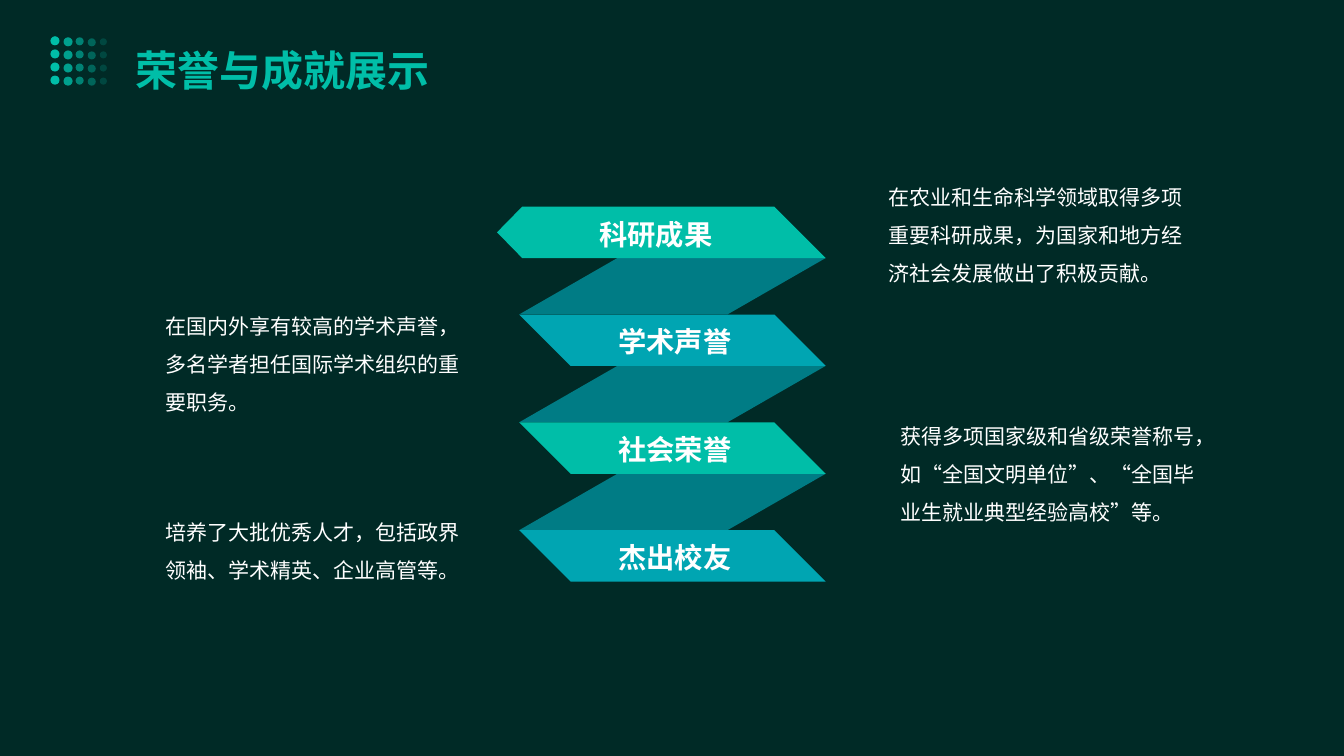
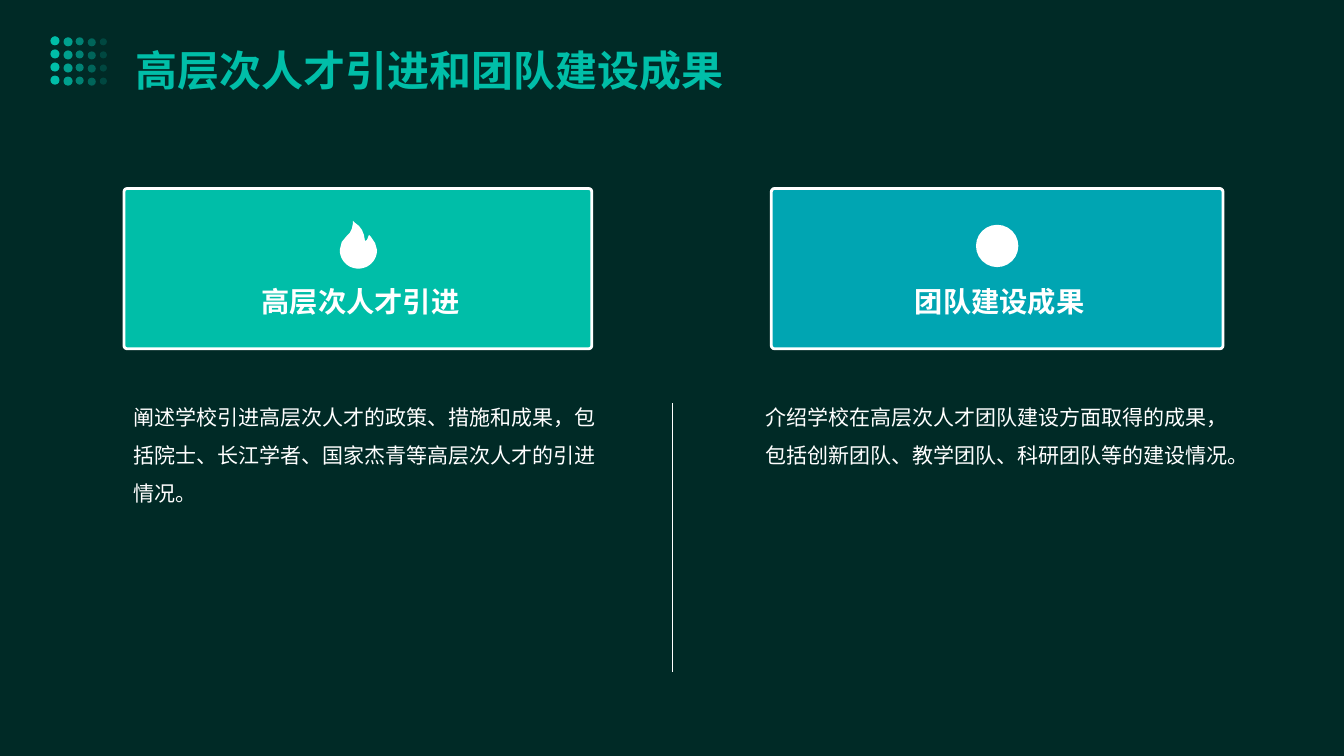
from dataclasses import dataclass
from math import cos, pi, sin

from lxml import etree
from pptx import Presentation
from pptx.dml.color import RGBColor
from pptx.enum.shapes import MSO_CONNECTOR as Connector, MSO_SHAPE as Shape
from pptx.enum.text import MSO_ANCHOR as Anchor, MSO_AUTO_SIZE as AutoSize, PP_ALIGN as Align
from pptx.oxml.ns import qn
from pptx.util import Inches, Pt


@dataclass(frozen=True)
class Theme:
    font: str = "Noto Sans CJK SC"
    background: RGBColor = RGBColor(0x00, 0x2A, 0x26)
    green: RGBColor = RGBColor(0x00, 0xBE, 0xA8)
    blue: RGBColor = RGBColor(0x00, 0xA5, 0xB2)
    fold: RGBColor = RGBColor(0x00, 0x7C, 0x85)
    white: RGBColor = RGBColor(0xFF, 0xFF, 0xFF)
    title_size: float = 30
    label_size: float = 20.2
    body_size: float = 15


THEME = Theme()

# Content
HONORS_TITLE = "荣誉与成就展示"
HONORS = [  # label, description, description left and top
    ("科研成果", "在农业和生命科学领域取得多项重要科研成果，为国家和地方经济社会发展做出了积极贡献。", 8.71, 1.61),
    ("学术声誉", "在国内外享有较高的学术声誉，多名学者担任国际学术组织的重要职务。", 1.54, 2.89),
    ("社会荣誉", "获得多项国家级和省级荣誉称号，如“全国文明单位”、“全国毕业生就业典型经验高校”等。", 8.83, 3.98),
    ("杰出校友", "培养了大批优秀人才，包括政界领袖、学术精英、企业高管等。", 1.54, 4.93),
]
TALENT_TITLE = "高层次人才引进和团队建设成果"
TALENT = [  # label, description, card left and width, description left, colour
    ("高层次人才引进", "阐述学校引进高层次人才的政策、措施和成果，包括院士、长江学者、国家杰青等高层次人才的引进情况。",
     1.23, 4.64, 1.23, THEME.green),
    ("团队建设成果", "介绍学校在高层次人才团队建设方面取得的成果，包括创新团队、教学团队、科研团队等的建设情况。",
     7.65, 4.48, 7.49, THEME.blue),
]

# Geometry in inches
DOT_COLUMNS = [(0.5, 0.36, 0.09), (0.63, 0.37, 0.09), (0.75, 0.37, 0.08),
               (0.87, 0.38, 0.08), (0.99, 0.38, 0.07)]  # left, top, size
DOT_ROWS, DOT_PITCH = 4, 0.13
RIBBON_LEFT, RIBBON_TOP, RIBBON_WIDTH = 5.15, 2.05, 3.04
BAND_HEIGHT, FOLD_HEIGHT = 0.51, 0.56
FLAME_TOP = [(3.37, 2.48), (3.39, 2.4), (3.44, 2.34), (3.47, 2.31), (3.49, 2.27),
             (3.5, 2.22), (3.5, 2.19), (3.52, 2.21), (3.56, 2.24), (3.59, 2.28),
             (3.61, 2.33), (3.62, 2.39), (3.64, 2.38), (3.66, 2.33), (3.68, 2.35), (3.72, 2.41)]


def paint(shape, color, alpha=100):
    shape.shadow.inherit = False
    shape.fill.solid()
    shape.fill.fore_color.rgb = color
    shape.line.fill.background()
    if alpha < 100:
        tint = shape.fill._xPr.find(qn("a:solidFill"))[0]
        etree.SubElement(tint, qn("a:alpha"), val=str(alpha * 1000))


def add_preset(shapes, kind, place, color, alpha=100):
    shape = shapes.add_shape(kind, *map(Inches, place))
    paint(shape, color, alpha)
    return shape


def add_outline(page, points, color):
    corners = [(Inches(x), Inches(y)) for x, y in points]
    builder = page.shapes.build_freeform(*corners[0])
    builder.add_line_segments(corners[1:], close=True)
    paint(builder.convert_to_shape(), color)


def write(box, text, size, color, bold=False, align=Align.LEFT, spacing=1.0, insets=(0.1, 0.1, 0.05, 0.1)):
    frame = box.text_frame
    frame.word_wrap = True
    frame.auto_size = AutoSize.NONE
    frame.vertical_anchor = Anchor.TOP
    (frame.margin_left, frame.margin_top,
     frame.margin_right, frame.margin_bottom) = map(Inches, insets)
    frame.text = text
    para = frame.paragraphs[0]
    para.alignment = align
    para.line_spacing = spacing
    para.space_before = Pt(0)
    para.font.name, para.font.size, para.font.bold = THEME.font, Pt(size), bold
    para.font.color.rgb = color


def add_label(page, text, place):
    box = page.shapes.add_textbox(*map(Inches, place))
    write(box, text, THEME.label_size, THEME.white, bold=True, align=Align.CENTER)


def add_body(page, text, place):
    box = page.shapes.add_textbox(*map(Inches, place))
    write(box, text, THEME.body_size, THEME.white, spacing=1.5)


def add_page(deck, title):
    """Start a page with the shared title and fading dot grid."""
    page = deck.slides.add_slide(deck.slide_layouts[5])
    write(page.shapes.title, title, THEME.title_size, THEME.green, bold=True,
          spacing=1.4, insets=(0.14, 0.14, 0.06, 0.14))
    dots = page.shapes.add_group_shape().shapes
    for row in range(DOT_ROWS):
        for column, (left, top, size) in enumerate(DOT_COLUMNS):
            place = (left, top + row * DOT_PITCH, size, size)
            add_preset(dots, Shape.OVAL, place, THEME.green, 100 - 20 * column)
    return page


def build_honors(deck):
    page = add_page(deck, HONORS_TITLE)
    right = RIBBON_LEFT + RIBBON_WIDTH
    tops = [RIBBON_TOP + i * (BAND_HEIGHT + FOLD_HEIGHT) for i in range(len(HONORS))]

    # Folds between the bands
    for top in tops[:-1]:
        place = (RIBBON_LEFT, top + BAND_HEIGHT, RIBBON_WIDTH, FOLD_HEIGHT)
        fold = add_preset(page.shapes, Shape.PARALLELOGRAM, place, THEME.fold)
        fold.adjustments[0] = 1.74

    # Bands with labels and descriptions
    for i, (top, (label, text, left, text_top)) in enumerate(zip(tops, HONORS)):
        bottom = top + BAND_HEIGHT
        if i == 0:
            left_side = [(5.18, bottom), (4.93, top + BAND_HEIGHT / 2), (5.18, top)]
            label_left, label_width = 5.25, 2.46
        else:
            left_side = [(RIBBON_LEFT + BAND_HEIGHT, bottom), (RIBBON_LEFT, top)]
            label_left, label_width = 5.55, 2.24
        add_outline(page, left_side + [(right - BAND_HEIGHT, top), (right, bottom)],
                    THEME.blue if i % 2 else THEME.green)
        add_label(page, label, (label_left, top, label_width, 0.48))
        add_body(page, text, (left, text_top, 3.2, 1.73))


def build_talent(deck):
    page = add_page(deck, TALENT_TITLE)

    # Cards and descriptions
    for label, text, left, width, text_left, color in TALENT:
        card = add_preset(page.shapes, Shape.ROUNDED_RECTANGLE, (left, 1.87, width, 1.59), color)
        card.adjustments[0] = 0.02
        card.line.color.rgb, card.line.width = THEME.white, Pt(2)
        add_label(page, label, (left, 2.72, width, 0.48))
        add_body(page, text, (text_left, 3.79, 4.79, 3.01))

    # Icons: a flame with a round base, and a plain disc
    steps = 24
    base = [(3.555 + 0.185 * cos(pi * i / steps), 2.48 + 0.185 * sin(pi * i / steps))
            for i in range(steps)]
    add_outline(page, FLAME_TOP + base, THEME.white)
    add_preset(page.shapes, Shape.OVAL, (9.68, 2.23, 0.42, 0.42), THEME.white)

    # Divider
    divider = page.shapes.add_connector(
        Connector.STRAIGHT, Inches(6.67), Inches(4), Inches(6.67), Inches(6.67))
    divider.line.color.rgb, divider.line.width = THEME.white, Pt(0.75)
    etree.SubElement(divider._element.spPr, qn("a:effectLst"))


def main():
    deck = Presentation()
    deck.slide_width, deck.slide_height = Inches(13.33), Inches(7.5)

    # Shared background and title position
    fill = deck.slide_master.background.fill
    fill.solid()
    fill.fore_color.rgb = THEME.background
    title = deck.slide_layouts[5].placeholders[0]
    title.left, title.top, title.width, title.height = map(Inches, (1.2, 0.1, 10.94, 1))

    build_honors(deck)
    build_talent(deck)
    deck.save("out.pptx")


if __name__ == "__main__":
    main()
